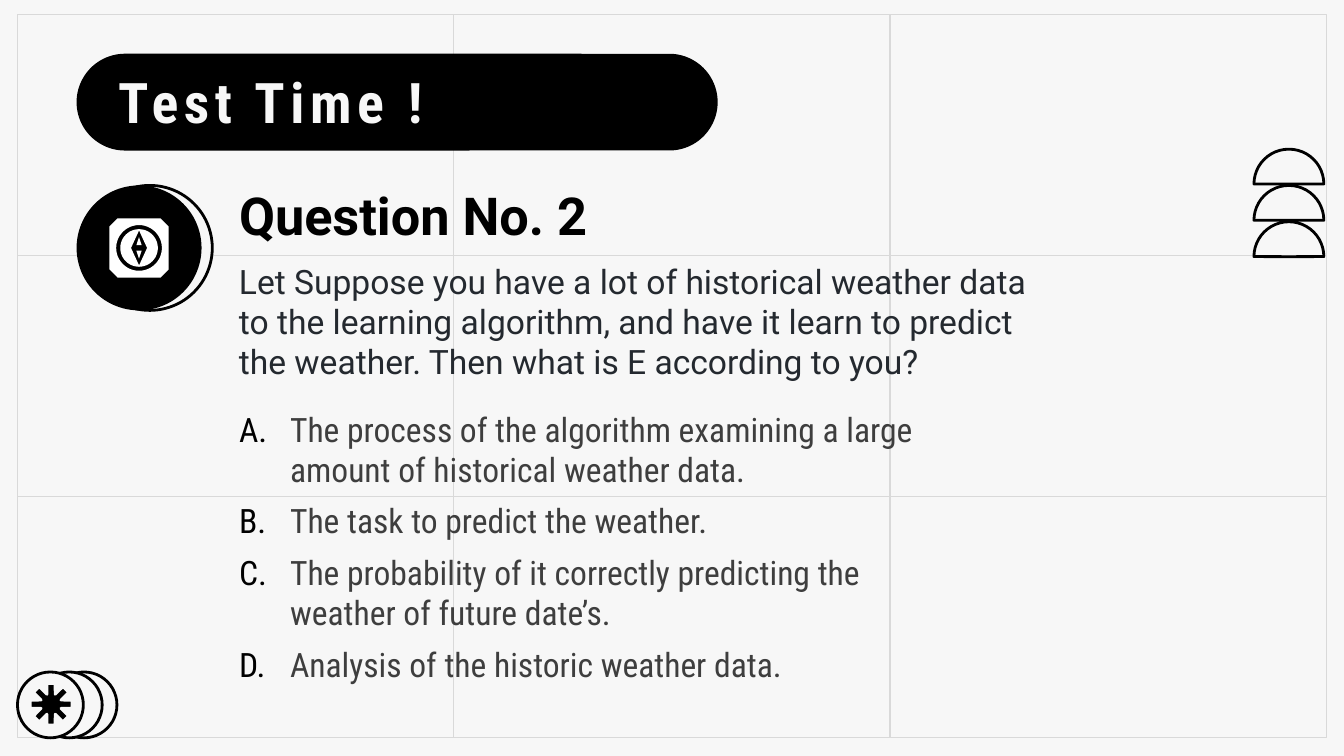
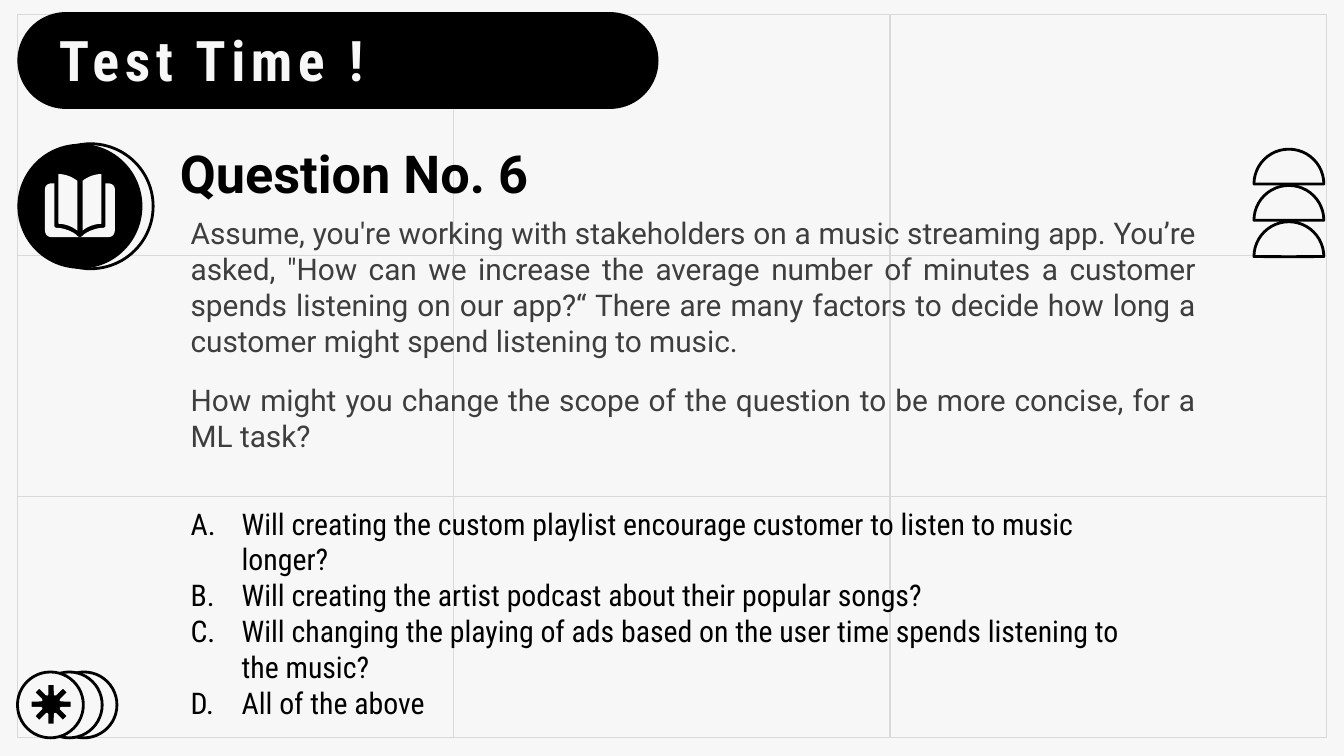
from math import cos, radians, sin

from lxml.etree import SubElement
from pptx import Presentation
from pptx.dml.color import RGBColor
from pptx.enum.shapes import MSO_CONNECTOR, MSO_SHAPE
from pptx.enum.text import MSO_ANCHOR, PP_ALIGN
from pptx.oxml.ns import qn
from pptx.util import Inches, Pt

COLORS = {
    "paper": "F7F7F7",
    "grid": "D9D9D9",
    "black": "000000",
    "white": "FFFFFF",
    "ink": "24292F",
    "gray": "3E3E3E",
}
BODY, NARROW = "Roboto", "Roboto Condensed"


def rgb(name):
    return RGBColor.from_string(COLORS[name])


# Shapes and lines
def paint(sp, fill=None, line=None, width=1.5):
    sp.shadow.inherit = False
    if fill:
        sp.fill.solid()
        sp.fill.fore_color.rgb = rgb(fill)
    else:
        sp.fill.background()
    if line:
        sp.line.color.rgb = rgb(line)
        sp.line.width = Pt(width)
    else:
        sp.line.fill.background()
    return sp


def add_preset(slide, kind, box, adj=(), **style):
    sp = slide.shapes.add_shape(kind, *map(Inches, box))
    for i, value in enumerate(adj):
        sp.adjustments[i] = value
    return paint(sp, **style)


def add_grid_line(slide, x1, y1, x2, y2):
    cn = slide.shapes.add_connector(
        MSO_CONNECTOR.STRAIGHT, *map(Inches, (x1, y1, x2, y2)))
    cn.line.color.rgb = rgb("grid")
    cn.line.width = Pt(0.75)
    SubElement(cn._element.spPr, qn("a:effectLst"))


def flatten(outline, steps=8):
    """Turn points and cubic curves (6-tuples) into points."""
    points = []
    for part in outline:
        if len(part) == 2:
            points.append(part)
            continue
        knots = [points[-1], part[:2], part[2:4], part[4:]]
        for i in range(1, steps + 1):
            t = i / steps
            weights = ((1 - t) ** 3, 3 * t * (1 - t) ** 2,
                       3 * t * t * (1 - t), t ** 3)
            points.append(tuple(sum(w * k[axis] for w, k in zip(weights, knots))
                                for axis in (0, 1)))
    return points


def add_outline(slide, center, *outlines, mirror=1, **style):
    """Draw outlines given around a center; inner ones are holes."""
    cx, cy = center
    builder = None
    for outline in outlines:
        pts = [(Inches(cx + mirror * x), Inches(cy + y))
               for x, y in flatten(outline)]
        if builder is None:
            builder = slide.shapes.build_freeform(*pts[0], scale=1.0)
        else:
            builder.move_to(*pts[0])
        builder.add_line_segments(pts[1:], close=True)
    return paint(builder.convert_to_shape(), **style)


def circle(radius, count=48):
    return [(radius * cos(radians(360 * i / count)),
             radius * sin(radians(360 * i / count))) for i in range(count)]


# Text
def add_text(slide, box, texts, fmt, inset=0.1, anchor=MSO_ANCHOR.TOP,
             align=PP_ALIGN.LEFT, before=0, after=0, spc=None, lettered=False):
    tf = slide.shapes.add_textbox(*map(Inches, box)).text_frame
    frame = {"word_wrap": True, "vertical_anchor": anchor,
             "margin_top": Inches(inset), "margin_bottom": Inches(inset)}
    for key, value in frame.items():
        setattr(tf, key, value)
    for i, text in enumerate(texts):
        p = tf.paragraphs[0] if i == 0 else tf.add_paragraph()
        p.alignment = align
        p.space_before = Pt(before if i else 0)
        p.space_after = Pt(after)
        if lettered:
            add_letter(p)
        r = p.add_run()
        r.text = text
        for key, value in fmt.items():
            if key == "color":
                r.font.color.rgb = rgb(value)
            else:
                setattr(r.font, key, value)
        if spc:
            r._r.get_or_add_rPr().set("spc", str(spc * 100))


def add_letter(p):
    pPr = p._p.get_or_add_pPr()
    pPr.set("marL", str(Inches(0.38)))
    pPr.set("indent", str(-Inches(0.38)))
    clr = SubElement(pPr, qn("a:buClr"))
    SubElement(clr, qn("a:srgbClr")).set("val", COLORS["black"])
    SubElement(pPr, qn("a:buAutoNum")).set("type", "alphaUcPeriod")


def add_answers(slide, box, answers, size, color, after=0):
    add_text(slide, box, answers,
             {"name": NARROW, "size": Pt(size), "color": color},
             inset=0.05, after=after, lettered=True)


# Shared background: grid, half circles, star badge
def add_backdrop(slide):
    slide.background.fill.solid()
    slide.background.fill.fore_color.rgb = rgb("paper")
    left, top, width, height = 0.13, 0.11, 9.74, 5.38
    right, bottom = left + width, top + height
    add_preset(slide, MSO_SHAPE.RECTANGLE, (left, top, width, height),
               fill="paper", line="grid", width=0.75)
    for i in (1, 2):
        x = left + i * width / 3
        add_grid_line(slide, x, top, x, bottom)
    for i in (1, 2):
        y = top + i * height / 3
        add_grid_line(slide, left, y, right, y)

    for y in (1.38, 1.11, 1.65):
        add_preset(slide, MSO_SHAPE.PIE, (9.33, y, 0.52, 0.52),
                   adj=(108.11, 215.89), line="black")

    for x in (0.38, 0.27, 0.13):
        add_preset(slide, MSO_SHAPE.OVAL, (x, 5, 0.49, 0.49),
                   fill="paper", line="black")
    star = []
    for i in range(8):
        a, notch = radians(45 * i), radians(45 * i + 22.5)
        for side in (-0.03, 0.03):
            star.append((0.155 * cos(a) - side * sin(a),
                         0.155 * sin(a) + side * cos(a)))
        star.append((0.08 * cos(notch), 0.08 * sin(notch)))
    add_outline(slide, (0.38, 5.24), star, fill="black", line="paper")


# Title band, question heading and icon disc, placed from the band's corner
def add_header(slide, x, y, question, draw_icon):
    add_preset(slide, MSO_SHAPE.ROUNDED_RECTANGLE, (x, y, 4.77, 0.72),
               adj=(0.5,), fill="black")
    add_text(slide, (x + 0.21, y, 4.22, 0.71), ["Test Time !"],
             {"name": NARROW, "size": Pt(30), "bold": True, "color": "paper"},
             spc=3)
    add_text(slide, (x + 1.11, y + 0.98, 3.81, 0.43), [question],
             {"name": BODY, "size": Pt(28), "bold": True, "color": "black"},
             anchor=MSO_ANCHOR.MIDDLE)
    disc = 0.93
    add_preset(slide, MSO_SHAPE.OVAL, (x + 0.08, y + 0.98, disc, disc),
               fill="paper", line="black")
    add_preset(slide, MSO_SHAPE.OVAL, (x, y + 0.98, disc, disc), fill="black")
    draw_icon(slide, (x + disc / 2, y + 0.98 + disc / 2))


def draw_compass(slide, center):
    plate = [(-0.16, -0.22), (0.16, -0.22), (0.22, -0.16), (0.22, 0.16),
             (0.16, 0.22), (-0.16, 0.22), (-0.22, 0.16), (-0.22, -0.16)]
    needle = [(0, -0.13), (0.06, 0), (0, 0.13), (-0.06, 0)]
    add_outline(slide, center, circle(0.14), needle, fill="white")
    add_outline(slide, center, plate, circle(0.17), fill="white")
    for way in (1, -1):
        tip = [(-0.02, way * 0.02), (0, way * 0.08), (0.02, way * 0.02)]
        add_outline(slide, center, tip, fill="white")


def draw_book(slide, center):
    cover = [(-0.21, -0.17), (-0.24, -0.17, -0.26, -0.15, -0.26, -0.13),
             (-0.26, 0.18), (-0.26, 0.21, -0.24, 0.23, -0.21, 0.23),
             (0, 0.23), (-0.01, 0.23, -0.02, 0.22, -0.03, 0.21),
             (-0.07, 0.18, -0.13, 0.16, -0.18, 0.16),
             (-0.19, 0.15), (-0.19, -0.17)]
    page = [(-0.16, -0.24), (-0.16, 0.13),
            (-0.11, 0.13, -0.06, 0.15, -0.02, 0.18),
            (-0.02, -0.19), (-0.06, -0.22, -0.11, -0.24, -0.16, -0.24)]
    for mirror in (1, -1):
        for outline in (cover, page):
            add_outline(slide, center, outline, mirror=mirror, fill="paper")


def add_weather_slide(slide):
    add_header(slide, 0.57, 0.4, "Question No. 2", draw_compass)
    add_text(slide, (1.68, 1.84, 6.24, 1.04), [
        "Let Suppose you have a lot of historical weather data to the learning "
        "algorithm, and have it learn to predict the weather. Then what is E "
        "according to you?",
    ], {"name": BODY, "size": Pt(18), "color": "ink"})
    add_answers(slide, (1.68, 2.99, 5.62, 2.17), [
        "The process of the algorithm examining a large amount of historical "
        "weather data.",
        "The task to predict the weather.",
        "The probability of it correctly predicting the weather of future date’s.",
        "Analysis of the historic weather data.",
    ], 18, "gray", after=6)


def add_music_slide(slide):
    add_header(slide, 0.13, 0.09, "Question No. 6", draw_book)
    add_text(slide, (1.32, 1.5, 7.68, 1.94), [
        "Assume, you're working with stakeholders on a music streaming app. "
        "You’re asked, \"How can we increase the average number of minutes a "
        "customer spends listening on our app?“ There are many factors to "
        "decide how long a customer might spend listening to music.",
        "How might you change the scope of the question to be more concise, "
        "for a ML task?",
    ], {"name": BODY, "size": Pt(16), "color": "gray"},
        align=PP_ALIGN.JUSTIFY, before=12.5)
    add_answers(slide, (1.32, 3.71, 7.36, 1.72), [
        "Will creating the custom playlist encourage customer to listen to "
        "music longer?",
        "Will creating the artist podcast about their popular songs?",
        "Will changing the playing of ads based on the user time spends "
        "listening to the music?",
        "All of the above",
    ], 16, "black")


def main():
    prs = Presentation()
    prs.slide_width = Inches(10)
    prs.slide_height = Inches(10) * 9 // 16
    for fill_slide in (add_weather_slide, add_music_slide):
        slide = prs.slides.add_slide(prs.slide_layouts[6])
        add_backdrop(slide)
        fill_slide(slide)
    prs.save("out.pptx")


if __name__ == "__main__":
    main()
